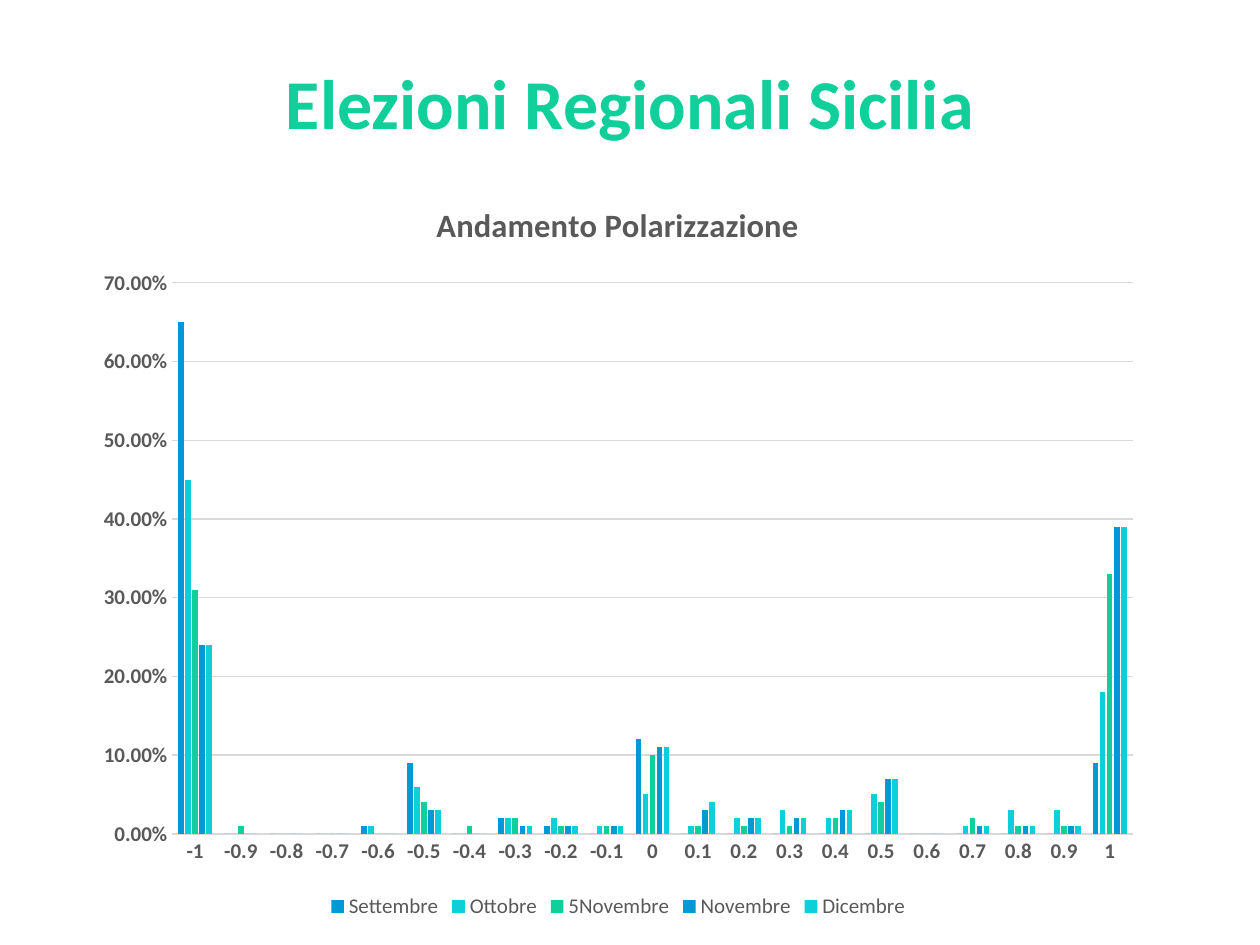
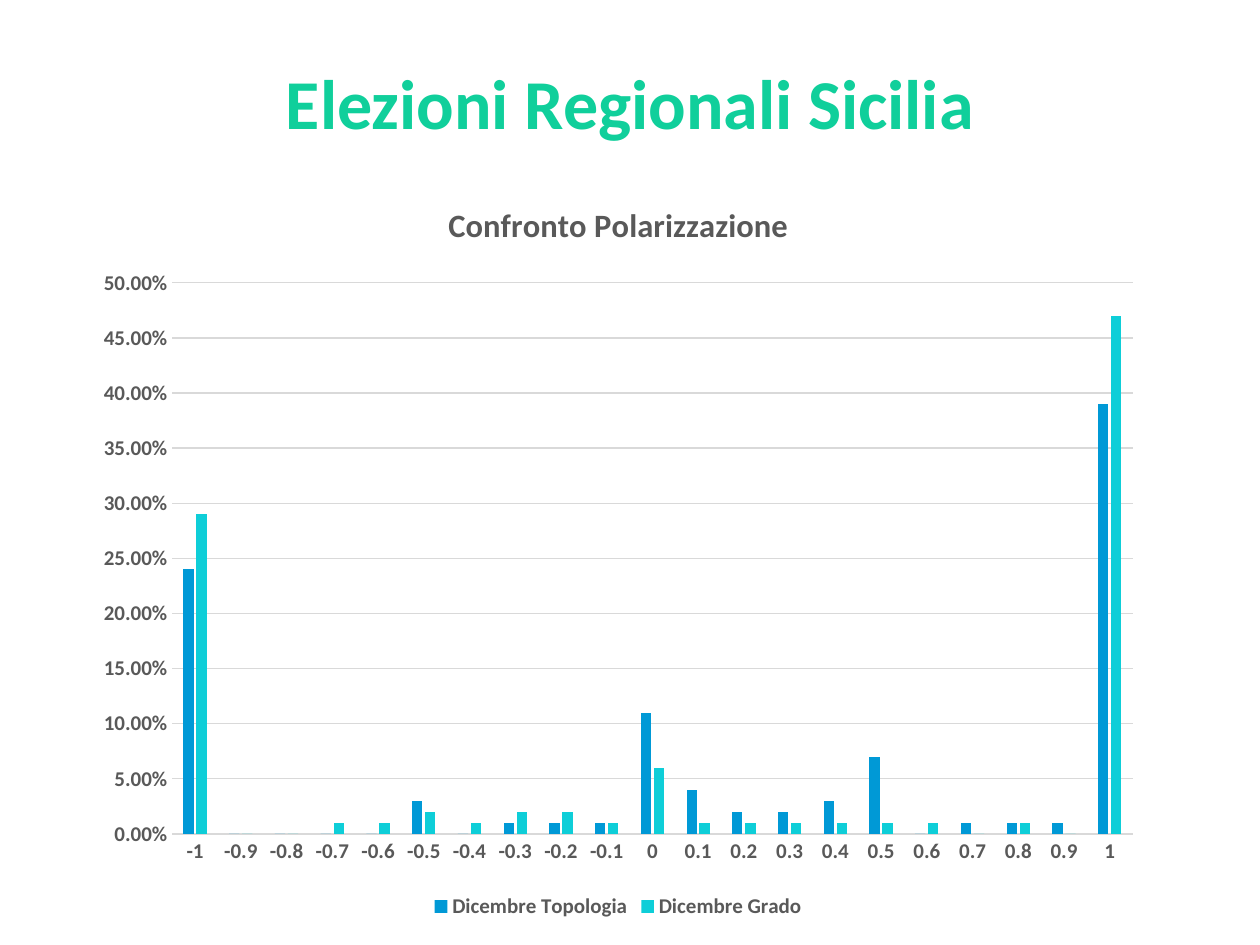
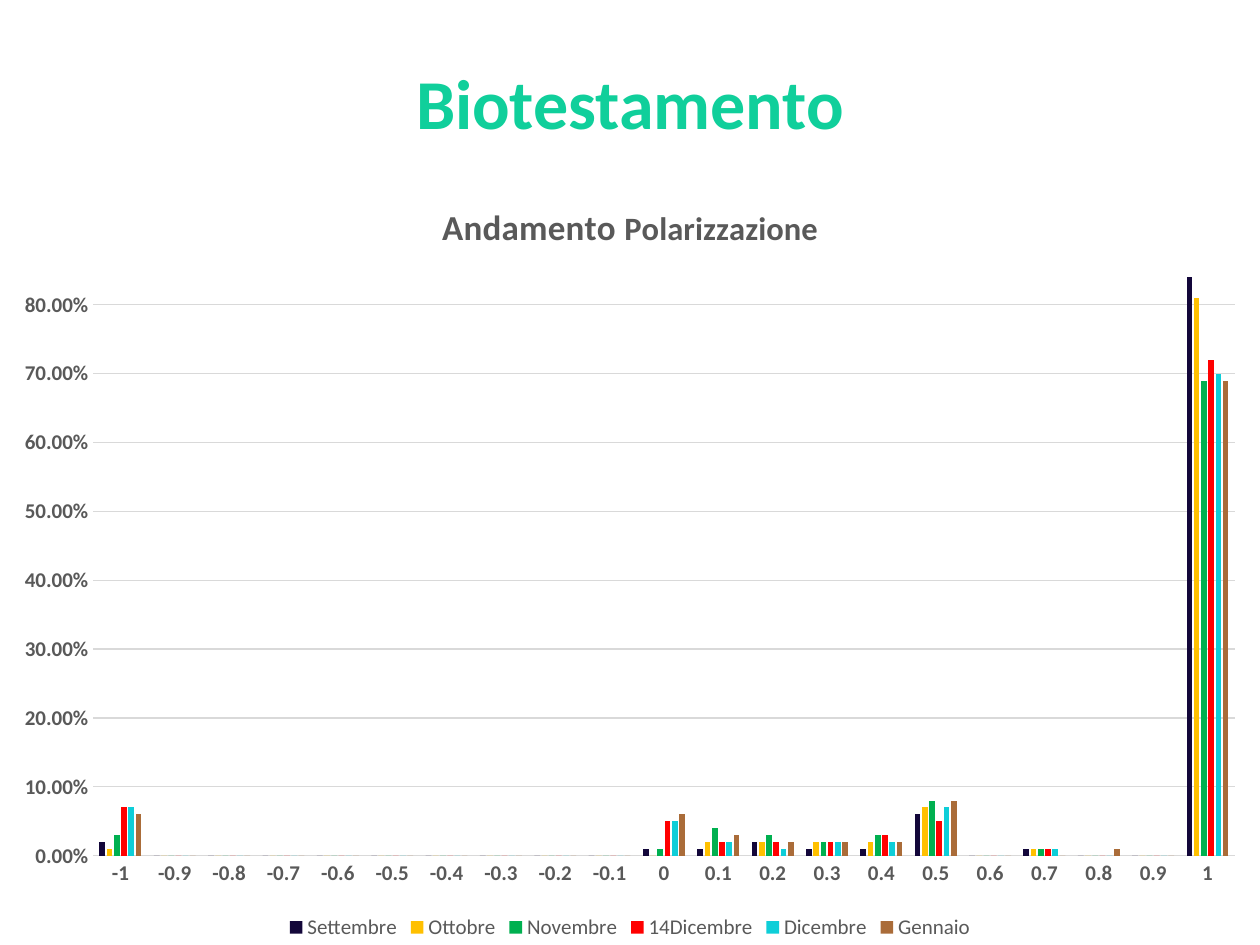
from dataclasses import dataclass

from lxml.etree import SubElement
from pptx import Presentation
from pptx.chart.data import CategoryChartData
from pptx.dml.color import RGBColor
from pptx.enum.chart import XL_CHART_TYPE as ChartType
from pptx.enum.chart import XL_LEGEND_POSITION as LegendPosition
from pptx.enum.chart import XL_TICK_MARK as TickMark
from pptx.enum.text import MSO_ANCHOR as Anchor
from pptx.enum.text import PP_ALIGN as Align
from pptx.oxml.ns import qn
from pptx.util import Pt


@dataclass(frozen=True)
class Theme:
    font: str = "Calibri"
    green: str = "10CF9B"
    blue: str = "0099D6"
    cyan: str = "0ECED8"
    navy: str = "13073A"
    yellow: str = "FFC000"
    leaf: str = "00B050"
    red: str = "FF0000"
    brown: str = "AA6C39"
    text: str = "595959"
    line: str = "D9D9D9"
    title_size: float = 40
    chart_title_size: float = 18.6
    chart_title_large: float = 20
    label_size: float = 12
    chart_size: float = 10
    line_width: float = 0.75


THEME = Theme()
TITLE_ONLY = 5
TITLE_BOX = (120, 35.5, 480, 51)
POLARITIES = [f"{step / 10:g}" for step in range(-10, 11)]

# Each series: name, colour, percentages from polarity -1 to 1
DECEMBER = [24, 0, 0, 0, 0, 3, 0, 1, 1, 1, 11, 4, 2, 2, 3, 7, 0, 1, 1, 1, 39]
SICILY_TREND = [
    ("Settembre", THEME.blue,
     [65, 0, 0, 0, 1, 9, 0, 2, 1, 0, 12, 0, 0, 0, 0, 0, 0, 0, 0, 0, 9]),
    ("Ottobre", THEME.cyan,
     [45, 0, 0, 0, 1, 6, 0, 2, 2, 1, 5, 1, 2, 3, 2, 5, 0, 1, 3, 3, 18]),
    ("5Novembre", THEME.green,
     [31, 1, 0, 0, 0, 4, 1, 2, 1, 1, 10, 1, 1, 1, 2, 4, 0, 2, 1, 1, 33]),
    ("Novembre", THEME.blue,
     [24, 0, 0, 0, 0, 3, 0, 1, 1, 1, 11, 3, 2, 2, 3, 7, 0, 1, 1, 1, 39]),
    ("Dicembre", THEME.cyan, DECEMBER),
]
SICILY_COMPARISON = [
    ("Dicembre Topologia", THEME.blue, DECEMBER),
    ("Dicembre Grado", THEME.cyan,
     [29, 0, 0, 1, 1, 2, 1, 2, 2, 1, 6, 1, 1, 1, 1, 1, 1, 0, 1, 0, 47]),
]
LIVING_WILL_TREND = [
    ("Settembre", THEME.navy,
     [2, 0, 0, 0, 0, 0, 0, 0, 0, 0, 1, 1, 2, 1, 1, 6, 0, 1, 0, 0, 84]),
    ("Ottobre", THEME.yellow,
     [1, 0, 0, 0, 0, 0, 0, 0, 0, 0, 0, 2, 2, 2, 2, 7, 0, 1, 0, 0, 81]),
    ("Novembre", THEME.leaf,
     [3, 0, 0, 0, 0, 0, 0, 0, 0, 0, 1, 4, 3, 2, 3, 8, 0, 1, 0, 0, 69]),
    ("14Dicembre", THEME.red,
     [7, 0, 0, 0, 0, 0, 0, 0, 0, 0, 5, 2, 2, 2, 3, 5, 0, 1, 0, 0, 72]),
    ("Dicembre", THEME.cyan,
     [7, 0, 0, 0, 0, 0, 0, 0, 0, 0, 5, 2, 1, 2, 2, 7, 0, 1, 0, 0, 70]),
    ("Gennaio", THEME.brown,
     [6, 0, 0, 0, 0, 0, 0, 0, 0, 0, 6, 3, 2, 2, 2, 8, 0, 0, 1, 0, 69]),
]

# Frames in points; plot areas in percent of their frame
SICILY_FRAME = (47, 99.5, 612.5, 428.5)
SICILY_PLOT = {"x": 8.4, "y": 14.5, "w": 89.6, "h": 73.5}
WIDE_FRAME = (0, 101, 720, 439)
WIDE_PLOT = {"x": 7.4, "y": 12.2, "w": 90.6, "h": 76.2}
CHART_TITLE_TOP = 3


def apply_format(target, values):
    for name, value in values.items():
        setattr(target, name, value)


def style_font(font, size, bold=False):
    apply_format(font, {"name": THEME.font, "size": Pt(size), "bold": bold})
    font.color.rgb = RGBColor.from_string(THEME.text)


def style_line(line):
    line.width = Pt(THEME.line_width)
    line.color.rgb = RGBColor.from_string(THEME.line)


def add_title(slide, text):
    title = slide.shapes.title
    left, top, width, height = map(Pt, TITLE_BOX)
    apply_format(title, {"left": left, "top": top, "width": width, "height": height})
    apply_format(title.text_frame, {"word_wrap": True, "vertical_anchor": Anchor.MIDDLE})
    para = title.text_frame.paragraphs[0]
    apply_format(para, {"alignment": Align.CENTER, "line_spacing": 0.9})
    span = para.add_run()
    span.text = text
    apply_format(span.font, {"name": THEME.font, "size": Pt(THEME.title_size), "bold": True})
    span.font.fill.gradient()
    span.font.fill.gradient_angle = 270
    for stop, colour in zip(span.font.fill.gradient_stops, (THEME.green, THEME.blue)):
        stop.color.rgb = RGBColor.from_string(colour)


def set_layout(parent, percentages, inner=False):
    """Place a chart part by percentages of the chart frame."""
    layout = parent.find(qn("c:layout"))
    if layout is None:
        layout = parent.makeelement(qn("c:layout"))
        parent.insert(0, layout)
    manual = SubElement(layout, qn("c:manualLayout"))
    if inner:
        SubElement(manual, qn("c:layoutTarget")).set("val", "inner")
    for side in ("x", "y"):
        SubElement(manual, qn(f"c:{side}Mode")).set("val", "edge")
    for side, percentage in percentages.items():
        SubElement(manual, qn(f"c:{side}")).set("val", f"{percentage / 100:g}")


def add_chart_title(chart, spans, left):
    chart.has_title = True
    para = chart.chart_title.text_frame.paragraphs[0]
    for text, size in spans:
        span = para.add_run()
        span.text = text
        style_font(span.font, size, bold=True)
    set_layout(chart.element.find(".//" + qn("c:title")), {"x": left, "y": CHART_TITLE_TOP})


def style_axes(chart, maximum):
    for axis in (chart.category_axis, chart.value_axis):
        apply_format(axis, {"major_tick_mark": TickMark.NONE, "minor_tick_mark": TickMark.NONE})
        style_font(axis.tick_labels.font, THEME.label_size, bold=True)
    chart.category_axis.has_major_gridlines = False
    style_line(chart.category_axis.format.line)
    values = chart.value_axis
    values.has_major_gridlines = True
    style_line(values.major_gridlines.format.line)
    values.format.line.fill.background()
    apply_format(values.tick_labels, {"number_format": "0.00%", "number_format_is_linked": False})
    if maximum:
        apply_format(values, {"minimum_scale": 0, "maximum_scale": maximum})


def add_column_chart(slide, frame, plot_place, series_rows, title, title_left,
                     bold_legend=False, maximum=None):
    data = CategoryChartData(number_format="0.00%")
    data.categories = POLARITIES
    for name, _, percentages in series_rows:
        data.add_series(name, [value / 100 for value in percentages])
    chart = slide.shapes.add_chart(ChartType.COLUMN_CLUSTERED, *map(Pt, frame), data).chart
    apply_format(chart.font, {"name": THEME.font, "size": Pt(THEME.chart_size)})
    add_chart_title(chart, title, title_left)
    style_axes(chart, maximum)
    chart.has_legend = True
    apply_format(chart.legend, {"position": LegendPosition.BOTTOM, "include_in_layout": False})
    style_font(chart.legend.font, THEME.label_size, bold_legend)
    plot = chart.plots[0]
    apply_format(plot, {"gap_width": 219, "overlap": -27, "vary_by_categories": False})
    for series, (_, colour, _) in zip(plot.series, series_rows):
        series.format.fill.solid()
        series.format.fill.fore_color.rgb = RGBColor.from_string(colour)
        series.invert_if_negative = False
    set_layout(chart.element.find(".//" + qn("c:plotArea")), plot_place, inner=True)


def add_chart_slide(deck, title, *chart_parts, **chart_options):
    slide = deck.slides.add_slide(deck.slide_layouts[TITLE_ONLY])
    add_title(slide, title)
    add_column_chart(slide, *chart_parts, **chart_options)


def main():
    deck = Presentation()
    apply_format(deck, {"slide_width": Pt(720), "slide_height": Pt(540)})
    normal, large = THEME.chart_title_size, THEME.chart_title_large
    add_chart_slide(deck, "Elezioni Regionali Sicilia", SICILY_FRAME, SICILY_PLOT, SICILY_TREND,
                    [("Andamento Polarizzazione", normal)], 32.5)
    add_chart_slide(deck, "Elezioni Regionali Sicilia", SICILY_FRAME, SICILY_PLOT,
                    SICILY_COMPARISON, [("Confronto Polarizzazione", normal)], 33.6,
                    bold_legend=True)
    add_chart_slide(deck, "Biotestamento", WIDE_FRAME, WIDE_PLOT, LIVING_WILL_TREND,
                    [("Andamento ", large), ("Polarizzazione", normal)], 34.8, maximum=0.85)
    deck.save("out.pptx")


if __name__ == "__main__":
    main()
